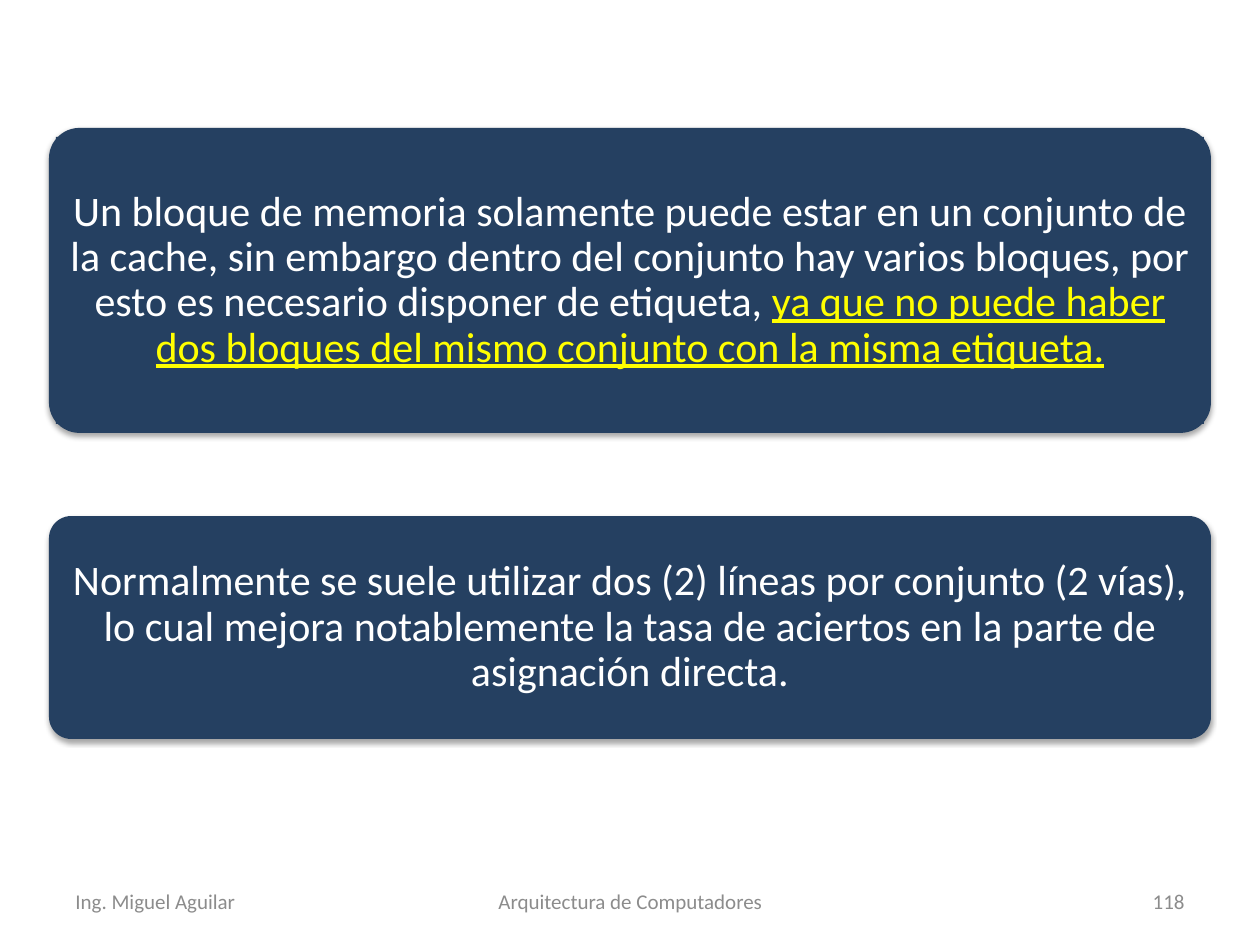
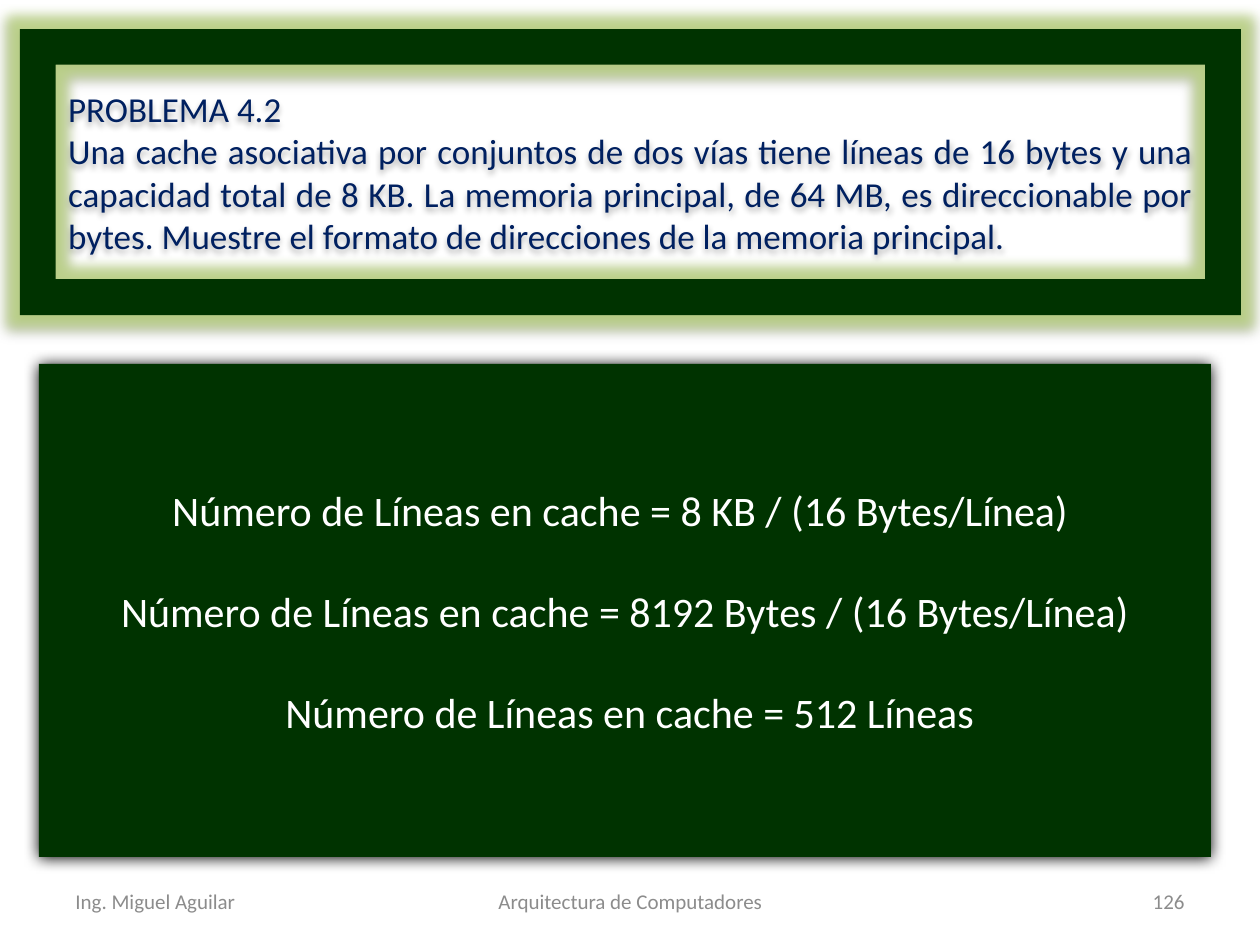
import pptx
import pptx.dml.color
import pptx.enum.shapes
import pptx.enum.text
import pptx.oxml
import pptx.oxml.ns
import pptx.util

RGBColor = pptx.dml.color.RGBColor
Shape = pptx.enum.shapes.MSO_SHAPE
Align = pptx.enum.text.PP_ALIGN

# Shared style
FONT = "Calibri"
NAVY = RGBColor(0x25, 0x40, 0x61)
GREEN = RGBColor(0x00, 0x33, 0x00)
GLOW = RGBColor(0xB9, 0xD5, 0x79)
INK = RGBColor(0x00, 0x20, 0x60)
GREY = RGBColor(0x8C, 0x8C, 0x8C)
WHITE = RGBColor(0xFF, 0xFF, 0xFF)
YELLOW = RGBColor(0xFF, 0xFF, 0x00)
PX_PER_INCH = 126
PAGE_WIDTH, PAGE_HEIGHT = 1260, 945

# Footer: text, left, width, alignment
FOOTER_TOP, FOOTER_HEIGHT = 876, 50
FOOTER = [
    ("Ing. Miguel Aguilar", 63, 294, Align.LEFT),
    ("Arquitectura de Computadores", 431, 399, Align.CENTER),
    ("{number}", 903, 294, Align.RIGHT),
]

# Cards: top, height, then (text, highlighted) spans
CARD_LEFT, CARD_WIDTH, CARD_ROUNDING = 49, 1162, 0.1
CARD_TEXT_INSET = 7
CARDS = [
    (128, 305, [
        ("Un bloque de memoria solamente puede estar en un conjunto de la cache, "
         "sin embargo dentro del conjunto hay varios bloques, por esto es "
         "necesario disponer de etiqueta, ", False),
        ("ya que no puede haber dos bloques del mismo conjunto con la misma "
         "etiqueta.", True),
    ]),
    (516, 223, [
        ("Normalmente se suele utilizar dos (2) líneas por conjunto (2 vías), "
         "lo cual mejora notablemente la tasa de aciertos en la parte de "
         "asignación directa.", False),
    ]),
]

PROBLEM = [
    ("PROBLEMA 4.2", Align.LEFT),
    ("Una cache asociativa por conjuntos de dos vías tiene líneas de 16 bytes y "
     "una capacidad total de 8 KB. La memoria principal, de 64 MB, es "
     "direccionable por bytes. Muestre el formato de direcciones de la memoria "
     "principal.", Align.JUSTIFY),
]
SOLUTION = [
    "Número de Líneas en cache = 8 KB / (16 Bytes/Línea) ",
    "Número de Líneas en cache = 8192 Bytes / (16 Bytes/Línea)",
    " Número de Líneas en cache = 512 Líneas",
]
SOLUTION_GAP = 29


def px(length):
    return round(length * pptx.util.Inches(1) / PX_PER_INCH)


def add_block(page, kind, left, top, width, height, fill):
    block = page.shapes.add_shape(kind, px(left), px(top), px(width), px(height))
    block.shadow.inherit = False
    block.fill.solid()
    block.fill.fore_color.rgb = fill
    block.line.fill.background()
    return block


def add_effects(block, blur, distance, opacity, glow_radius=0):
    """Add a downward black shadow and an optional glow; sizes in points."""
    effects = block.element.spPr.find(pptx.oxml.ns.qn("a:effectLst"))
    namespace = pptx.oxml.ns.nsdecls("a")
    if glow_radius:
        effects.append(pptx.oxml.parse_xml(
            f'<a:glow {namespace} rad="{pptx.util.Pt(glow_radius)}">'
            f'<a:srgbClr val="{GLOW}"><a:alpha val="75000"/></a:srgbClr></a:glow>'))
    effects.append(pptx.oxml.parse_xml(
        f'<a:outerShdw {namespace} blurRad="{pptx.util.Pt(blur)}" '
        f'dist="{pptx.util.Pt(distance)}" dir="5400000" rotWithShape="0">'
        f'<a:srgbClr val="000000"><a:alpha val="{opacity * 1000}"/></a:srgbClr>'
        '</a:outerShdw>'))


def write(box, paragraphs, size, color, gap=0):
    """Fill a box with (text, alignment) paragraphs, centred vertically."""
    frame = box.text_frame
    frame.word_wrap = True
    frame.vertical_anchor = pptx.enum.text.MSO_ANCHOR.MIDDLE
    frame.text = "\n".join(text for text, _ in paragraphs)
    for index, (paragraph, (_, alignment)) in enumerate(
            zip(frame.paragraphs, paragraphs)):
        paragraph.alignment = alignment
        if index and gap:
            paragraph.space_before = pptx.util.Pt(gap)
        for span in paragraph.runs:
            style(span, size, color)


def style(span, size, color):
    span.font.name = FONT
    span.font.size = pptx.util.Pt(size)
    span.font.color.rgb = color


def add_page(deck, number):
    page = deck.slides.add_slide(deck.slide_layouts[6])
    for text, left, width, alignment in FOOTER:
        box = page.shapes.add_textbox(
            px(left), px(FOOTER_TOP), px(width), px(FOOTER_HEIGHT))
        write(box, [(text.format(number=number), alignment)], 12, GREY)
    return page


def add_card(page, top, height, spans):
    card = add_block(page, Shape.ROUNDED_RECTANGLE,
                     CARD_LEFT, top, CARD_WIDTH, height, NAVY)
    card.adjustments[0] = CARD_ROUNDING
    add_effects(card, 3.1, 1.8, 35)

    # The text area's vertical inset follows the corner rounding
    inset = round(height * CARD_ROUNDING * 0.29)
    area = add_block(page, Shape.RECTANGLE,
                     CARD_LEFT + CARD_TEXT_INSET, top + inset,
                     CARD_WIDTH - 2 * CARD_TEXT_INSET, height - 2 * inset, NAVY)
    frame = area.text_frame
    frame.margin_left = frame.margin_right = px(9)
    frame.margin_top = frame.margin_bottom = px(6)
    write(area, [("", Align.CENTER)], 24, WHITE)
    paragraph = frame.paragraphs[0]
    paragraph.line_spacing = 0.9
    for text, highlighted in spans:
        span = paragraph.add_run()
        span.text = text
        style(span, 24, YELLOW if highlighted else WHITE)
        if highlighted:
            span.font.underline = True


def main():
    deck = pptx.Presentation()
    deck.slide_width, deck.slide_height = px(PAGE_WIDTH), px(PAGE_HEIGHT)

    # Set-associative cache remarks
    remarks = add_page(deck, 118)
    for top, height, spans in CARDS:
        add_card(remarks, top, height, spans)

    # Problem statement and solution
    exercise = add_page(deck, 126)
    statement = add_block(exercise, Shape.FRAME, 20, 29, 1221, 286, GREEN)
    add_effects(statement, 3.5, 2.2, 32, glow_radius=14)
    write(statement, PROBLEM, 20, INK)

    solution = add_block(exercise, Shape.RECTANGLE, 39, 364, 1172, 493, GREEN)
    add_effects(solution, 8.5, 1, 100)
    write(solution, [(line, Align.CENTER) for line in SOLUTION],
          24, WHITE, SOLUTION_GAP)

    deck.save("out.pptx")


if __name__ == "__main__":
    main()
